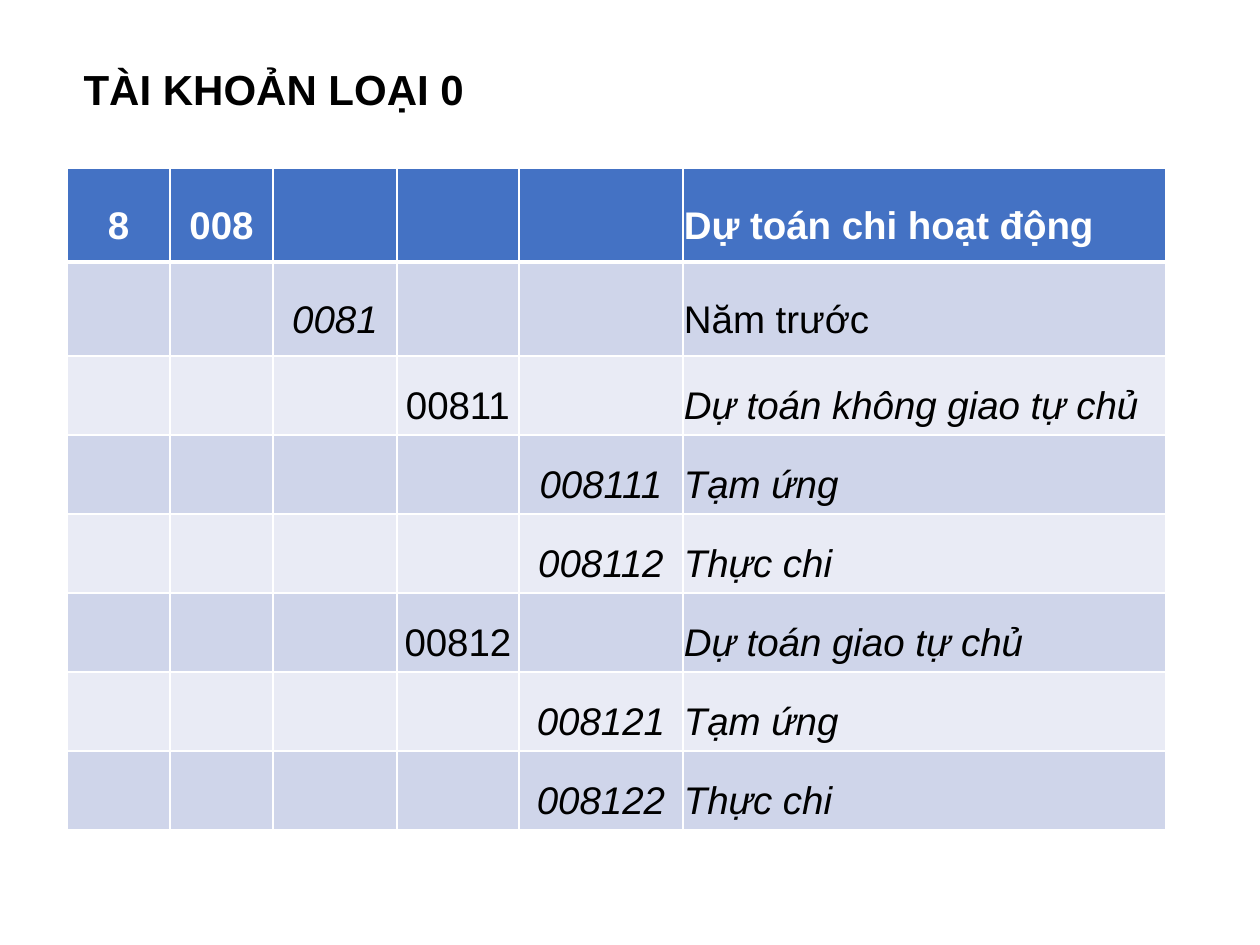
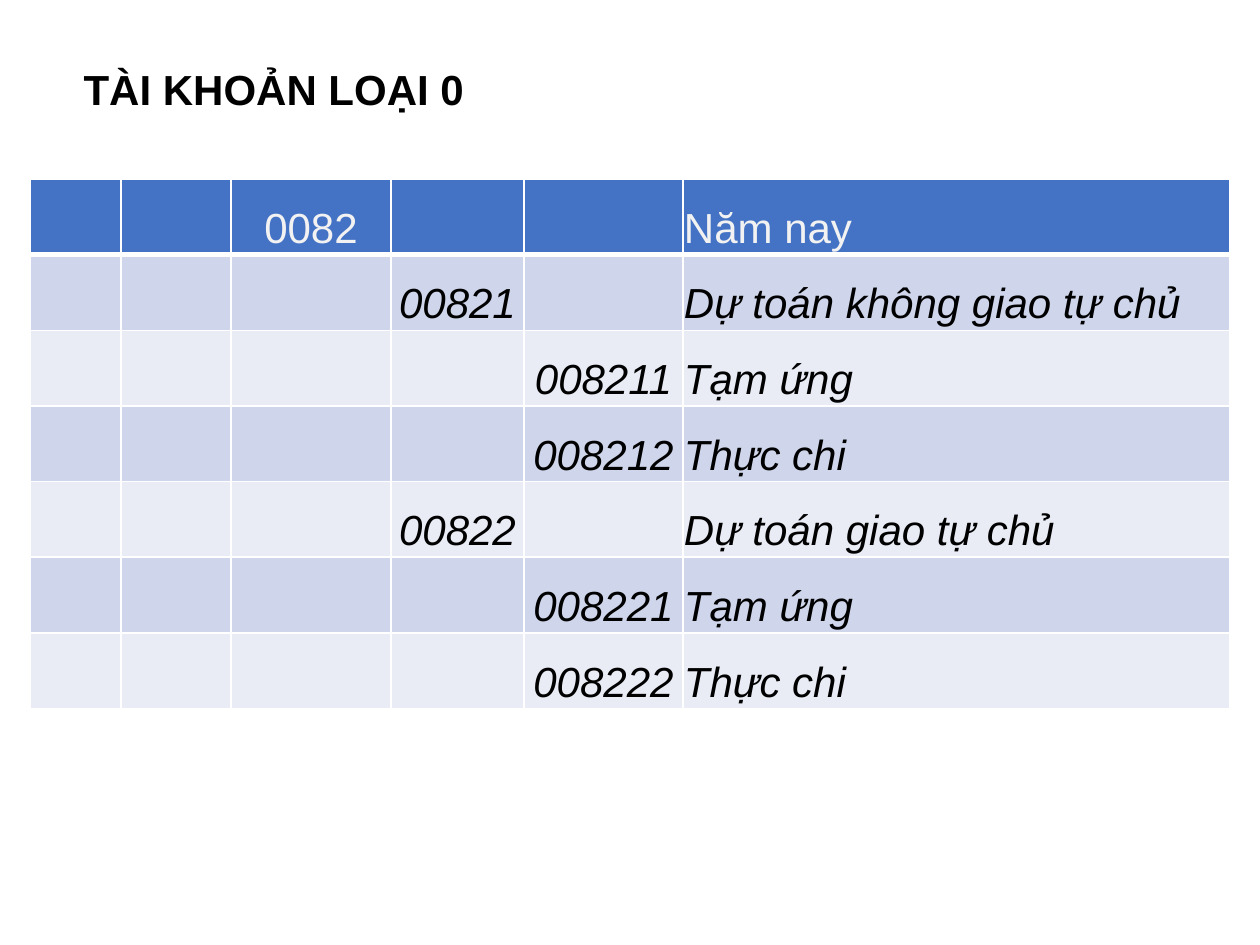
from collections import namedtuple
from dataclasses import dataclass

from lxml.etree import SubElement
from pptx import Presentation
from pptx.dml.color import RGBColor as Rgb
from pptx.enum.text import MSO_ANCHOR as Anchor, MSO_AUTO_SIZE as AutoSize, PP_ALIGN as Align
from pptx.oxml.ns import qn
from pptx.util import Emu, Pt

PX_PER_INCH = 126
TITLE = "TÀI KHOẢN LOẠI 0"
TITLE_ONLY_LAYOUT = 5


@dataclass(frozen=True)
class Theme:
    """Font, colours, type sizes and line widths of the slides."""
    font: str = "Arial"
    text: str = "000000"
    header: str = "4472C4"
    bands: tuple = ("CFD5EA", "E9EBF5")
    border: str = "FFFFFF"
    title_size: int = 24
    line_spacing: float = 1.5
    border_width: int = 1
    header_rule: int = 3


THEME = Theme()
Style = namedtuple("Style", "size color bold italic")
Account = namedtuple("Account", "code name code_italic name_italic order", defaults=(True, True, ""))
AccountTable = namedtuple("AccountTable", "left top widths heights size header_color header_bold accounts")

PREVIOUS_YEAR = AccountTable(
    67, 168, [103, 103, 124, 122, 164, 483], [94] * 2 + [79] * 6, 22, "FFFFFF", True,
    [
        Account("008", "Dự toán chi hoạt động", False, False, "8"),
        Account("0081", "Năm trước", True, False),
        Account("00811", "Dự toán không giao tự chủ", False),
        Account("008111", "Tạm ứng"),
        Account("008112", "Thực chi"),
        Account("00812", "Dự toán giao tự chủ", False),
        Account("008121", "Tạm ứng"),
        Account("008122", "Thực chi"),
    ],
)
CURRENT_YEAR = AccountTable(
    30, 179, [91, 110, 160, 133, 159, 547], [528 / 7] * 7, 24, "F2F2F2", False,
    [
        Account("0082", "Năm nay", False, False),
        Account("00821", "Dự toán không giao tự chủ"),
        Account("008211", "Tạm ứng"),
        Account("008212", "Thực chi"),
        Account("00822", "Dự toán giao tự chủ"),
        Account("008221", "Tạm ứng"),
        Account("008222", "Thực chi"),
    ],
)


def px(length):
    """Turn pixels into EMU."""
    return Emu(round(length * 914400 / PX_PER_INCH))


def add_run(paragraph, text, style):
    """Add one formatted run."""
    run = paragraph.add_run()
    run.text = text
    font = run.font
    font.name, font.size = THEME.font, Pt(style.size)
    font.bold, font.italic = style.bold, style.italic
    font.color.rgb = Rgb.from_string(style.color)


def add_title(slide):
    """Place the shared title in the title placeholder."""
    title = slide.shapes.title
    title.left, title.top, title.width, title.height = map(px, (71, 57, 406, 63))
    frame = title.text_frame
    frame.word_wrap = False
    frame.auto_size = AutoSize.SHAPE_TO_FIT_TEXT
    frame.vertical_anchor = Anchor.TOP
    paragraph = frame.paragraphs[0]
    paragraph.alignment = Align.LEFT
    add_run(paragraph, TITLE, Style(THEME.title_size, THEME.text, True, False))


def paint_cell(cell, row):
    """Draw the borders of a cell and its header or band fill."""
    properties = cell._tc.get_or_add_tcPr()
    heavy_side = {0: "B", 1: "T"}.get(row)
    for side in "LRTB":
        width = THEME.header_rule if side == heavy_side else THEME.border_width
        line = SubElement(properties, qn(f"a:ln{side}"), w=str(Pt(width)))
        SubElement(SubElement(line, qn("a:solidFill")), qn("a:srgbClr"), val=THEME.border)
    cell.fill.solid()
    color = THEME.bands[(row - 1) % 2] if row else THEME.header
    cell.fill.fore_color.rgb = Rgb.from_string(color)


def write_cell(cell, text, style, alignment):
    """Write one line of text into a cell with tight margins."""
    cell.margin_left = cell.margin_right = px(1)
    cell.margin_top = cell.margin_bottom = 0
    cell.vertical_anchor = Anchor.MIDDLE
    paragraph = cell.text_frame.paragraphs[0]
    paragraph.alignment = alignment
    paragraph.line_spacing = THEME.line_spacing
    add_run(paragraph, text, style)


def add_account_table(slide, data):
    """Add a table where the length of each code sets its column."""
    frame = slide.shapes.add_table(
        len(data.heights), len(data.widths), px(data.left), px(data.top),
        px(sum(data.widths)), px(sum(data.heights)))
    table = frame.table
    for column, width in zip(table.columns, data.widths):
        column.width = px(width)
    for row, (account, height) in enumerate(zip(data.accounts, data.heights)):
        table.rows[row].height = px(height)
        for cell in table.rows[row].cells:
            paint_cell(cell, row)
        color = THEME.text if row else data.header_color
        plain = Style(data.size, color, row == 0 and data.header_bold, False)
        if account.order:
            write_cell(table.cell(row, 0), account.order, plain, Align.CENTER)
        write_cell(table.cell(row, len(account.code) - 2), account.code,
                   plain._replace(italic=account.code_italic), Align.CENTER)
        write_cell(table.cell(row, len(data.widths) - 1), account.name,
                   plain._replace(italic=account.name_italic), Align.LEFT)


def main():
    """Build one slide for each account table."""
    presentation = Presentation()
    presentation.slide_width, presentation.slide_height = px(1260), px(945)
    for data in (PREVIOUS_YEAR, CURRENT_YEAR):
        slide = presentation.slides.add_slide(presentation.slide_layouts[TITLE_ONLY_LAYOUT])
        add_title(slide)
        add_account_table(slide, data)
    presentation.save("out.pptx")


if __name__ == "__main__":
    main()
